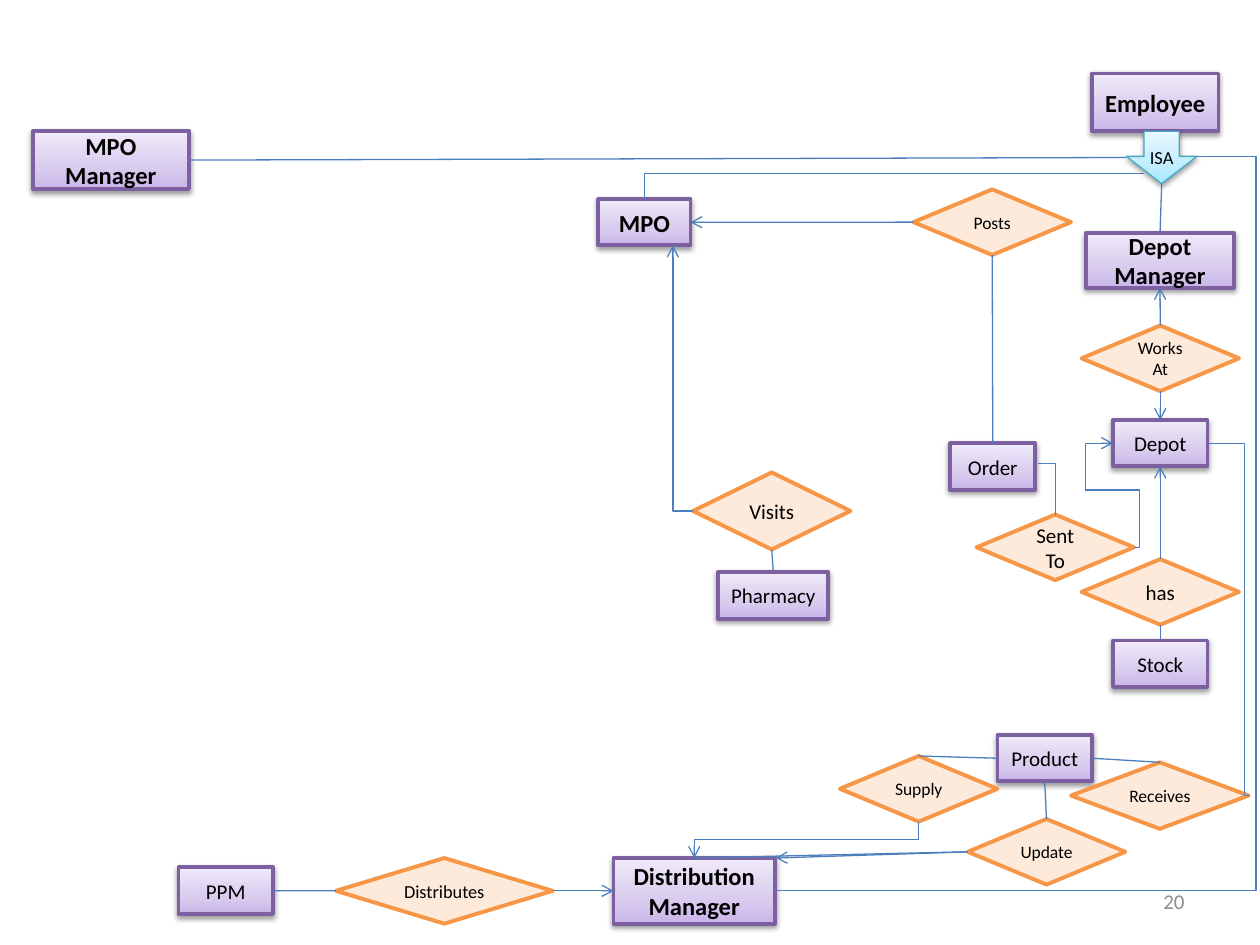
"""Builds an entity-relationship diagram slide for a distribution company."""
from copy import deepcopy

from lxml.etree import SubElement
from pptx import Presentation
from pptx.dml.color import RGBColor
from pptx.enum.shapes import MSO_CONNECTOR, MSO_SHAPE
from pptx.enum.text import MSO_ANCHOR, PP_ALIGN
from pptx.oxml.ns import qn
from pptx.util import Pt

BLACK = RGBColor(0x00, 0x00, 0x00)
GREY = RGBColor(0x8C, 0x8C, 0x8C)
PURPLE = RGBColor(0x7D, 0x60, 0xA0)
TEAL = RGBColor(0x46, 0xAA, 0xC5)
ORANGE = RGBColor(0xF7, 0x96, 0x46)
PEACH = RGBColor(0xFD, 0xEA, 0xDA)
BLUE = RGBColor(0x4B, 0x7E, 0xBC)
LILACS = (RGBColor(0xC9, 0xB5, 0xE8), RGBColor(0xD8, 0xCB, 0xEE), RGBColor(0xF0, 0xEA, 0xF9))
AQUAS = (RGBColor(0xA7, 0xE6, 0xFF), RGBColor(0xC1, 0xED, 0xFF), RGBColor(0xE7, 0xF8, 0xFF))
TOP, LEFT, BOTTOM, RIGHT = range(4)


class Diagram:
    """Holds the style and the current slide, and draws each kind of element."""

    font = "Calibri"

    def __init__(self, slide):
        self.slide = slide

    def label(self, sp, text, size, bold=False, color=BLACK, align=PP_ALIGN.CENTER):
        """Set the text of a shape in one style."""
        tf = sp.text_frame
        tf.word_wrap = True
        tf.vertical_anchor = MSO_ANCHOR.MIDDLE
        p = tf.paragraphs[0]
        p.text = text
        p.alignment = align
        p.font.name, p.font.size, p.font.bold = self.font, Pt(size), bold
        p.font.color.rgb = color

    def shape(self, kind, box, line, width):
        """Add an outlined shape without a shadow."""
        sp = self.slide.shapes.add_shape(kind, *map(Pt, box))
        sp.shadow.inherit = False
        sp.line.color.rgb = line
        sp.line.width = Pt(width)
        return sp

    def shade(self, sp, colors):
        """Give a shape an upward gradient and a soft shadow."""
        sp.fill.gradient()
        sp.fill.gradient_angle = 90
        spPr = sp._element.spPr
        stops = spPr.find(".//" + qn("a:gsLst"))
        stops.append(deepcopy(stops[0]))
        for stop, color, position in zip(sp.fill.gradient_stops, colors, (0, 0.35, 1)):
            stop.color.rgb = color
            stop.position = position
        shadow = SubElement(spPr.find(qn("a:effectLst")), qn("a:outerShdw"),
                            blurRad=str(Pt(3.1)), dist=str(Pt(1.6)), dir="5400000", rotWithShape="0")
        black = SubElement(shadow, qn("a:srgbClr"), val="000000")
        SubElement(black, qn("a:alpha"), val="38000")

    def entity(self, text, x, y, w=54, h=26.6, size=12, bold=False):
        """Add an entity rectangle."""
        sp = self.shape(MSO_SHAPE.RECTANGLE, (x, y, w, h), PURPLE, 2.25)
        self.shade(sp, LILACS)
        self.label(sp, text, size, bold)
        return sp

    def relation(self, text, x, y, w=90, h=37.5, size=10):
        """Add a relationship diamond."""
        sp = self.shape(MSO_SHAPE.FLOWCHART_DECISION, (x, y, w, h), ORANGE, 2.25)
        sp.fill.solid()
        sp.fill.fore_color.rgb = PEACH
        self.label(sp, text, size)
        return sp

    def isa(self, x, y, w, h):
        """Add the generalisation arrow."""
        sp = self.shape(MSO_SHAPE.DOWN_ARROW, (x, y, w, h), TEAL, 0.75)
        sp.adjustments[1] = 0.52
        self.shade(sp, AQUAS)
        self.label(sp, "ISA", 10.5)
        tf = sp.text_frame
        tf.word_wrap = False
        tf.margin_top, tf.margin_bottom = Pt(8), 0
        return sp

    def connector(self, kind, start, end, arrow):
        """Add a thin blue connector."""
        c = self.slide.shapes.add_connector(kind, *map(Pt, (*start, *end)))
        c.line.color.rgb = BLUE
        c.line.width = Pt(0.75)
        spPr = c._element.spPr
        if arrow:
            SubElement(spPr.find(qn("a:ln")), qn("a:tailEnd"), type="arrow")
        SubElement(spPr, qn("a:effectLst"))
        return c

    def join(self, a, a_side, b, b_side, arrow=False):
        """Link the sides of two shapes with a straight line."""
        c = self.connector(MSO_CONNECTOR.STRAIGHT, (0, 0), (0, 0), arrow)
        c.begin_connect(a, a_side)
        c.end_connect(b, b_side)

    def elbow(self, start, end, bends, rot=0, flip="", adj=(), arrow=False):
        """Add a bent connector between two points."""
        cx, cy = ((a + b) / 2 for a, b in zip(start, end))
        w, h = (abs(b - a) / 2 for a, b in zip(start, end))
        if rot == 90:
            w, h = h, w
        w, h = (-w if "h" in flip else w), (-h if "v" in flip else h)
        c = self.connector(MSO_CONNECTOR.ELBOW, (cx - w, cy - h), (cx + w, cy + h), arrow)
        spPr = c._element.spPr
        spPr.find(qn("a:xfrm")).set("rot", str(rot * 60000))
        geom = spPr.find(qn("a:prstGeom"))
        geom.set("prst", f"bentConnector{bends}")
        guides = geom.find(qn("a:avLst"))
        for i, value in enumerate(adj, 1):
            SubElement(guides, qn("a:gd"), name=f"adj{i}", fmla=f"val {round(value * 100000)}")

    def page_number(self, text, x, y, w, h):
        """Add the page number."""
        sp = self.slide.shapes.add_textbox(*map(Pt, (x, y, w, h)))
        self.label(sp, text, 12, color=GREY, align=PP_ALIGN.RIGHT)


def main():
    """Draw the slide and save it."""
    prs = Presentation()
    prs.slide_width, prs.slide_height = Pt(720), Pt(540)
    d = Diagram(prs.slides.add_slide(prs.slide_layouts[6]))

    d.entity("Employee", 624, 42, 72.3, 33, 14, True)
    isa = d.isa(643.7, 75, 40.3, 30)
    mpo = d.entity("MPO", 342, 113.7, 52.6, size=14, bold=True)
    mpo_manager = d.entity("MPO Manager", 18.7, 75, 89.3, 33, 14, True)
    depot_manager = d.entity("Depot Manager", 620.8, 133, 84.2, 31.5, 14, True)
    update = d.relation("Update", 553, 468)
    product = d.entity("Product", 570, 420)
    supply = d.relation("Supply", 480, 432)
    distribution = d.entity("Distribution Manager", 350.6, 490.3, 92.2, 37.5, 14, True)
    depot = d.entity("Depot", 636, 240)
    receives = d.relation("Receives", 612, 435.6, 101.5, 38)
    distributes = d.relation("Distributes", 192, 490.3, 123.8, size=10.5)
    ppm = d.entity("PPM", 102, 495.7)
    has = d.relation("has", 618, 319.5, size=12)
    stock = d.entity("Stock", 636, 366)
    works_at = d.relation("Works At", 618, 186)
    posts = d.relation("Posts", 522, 108.2)
    order = d.entity("Order", 543, 253.4, 48.6)
    d.relation("Sent To", 558, 294, size=12)
    visits = d.relation("Visits", 396, 270, h=44, size=12)
    pharmacy = d.entity("Pharmacy", 410.4, 327, 63)

    for link in (
        (isa, LEFT, mpo_manager, RIGHT),
        (isa, BOTTOM, depot_manager, TOP),
        (distribution, TOP, update, LEFT),
        (product, BOTTOM, update, TOP),
        (supply, TOP, product, LEFT),
        (receives, TOP, product, RIGHT),
        (distributes, LEFT, ppm, RIGHT),
        (has, BOTTOM, stock, TOP),
        (posts, BOTTOM, order, TOP),
        (visits, BOTTOM, pharmacy, TOP),
        (distributes, RIGHT, distribution, LEFT, True),
        (has, TOP, depot, BOTTOM, True),
        (posts, LEFT, mpo, RIGHT, True),
        (works_at, TOP, depot_manager, BOTTOM, True),
        (works_at, BOTTOM, depot, TOP, True),
    ):
        d.join(*link)
    d.connector(MSO_CONNECTOR.STRAIGHT, (553, 486.8), (443.3, 490.3), True)

    d.elbow((368.3, 113.7), (653.8, 99.2), 2, 90, "hv")
    d.elbow((684, 89.4), (442.8, 509), 3, flip="h", adj=[-0.14])
    d.elbow((690, 253.3), (713.5, 454.8), 3, adj=[0.9])
    d.elbow((525, 469.5), (396.7, 490.3), 3, 90, arrow=True)
    d.elbow((593.3, 265), (603, 294), 2)
    d.elbow((648, 312.7), (636, 253.3), 5, flip="hv", adj=[-0.25, 0.55, 2.32], arrow=True)
    d.elbow((396, 292), (384.5, 140.3), 2, 180, arrow=True)

    d.page_number("20", 516, 500.5, 168, 28.75)
    prs.save("out.pptx")


if __name__ == "__main__":
    main()
